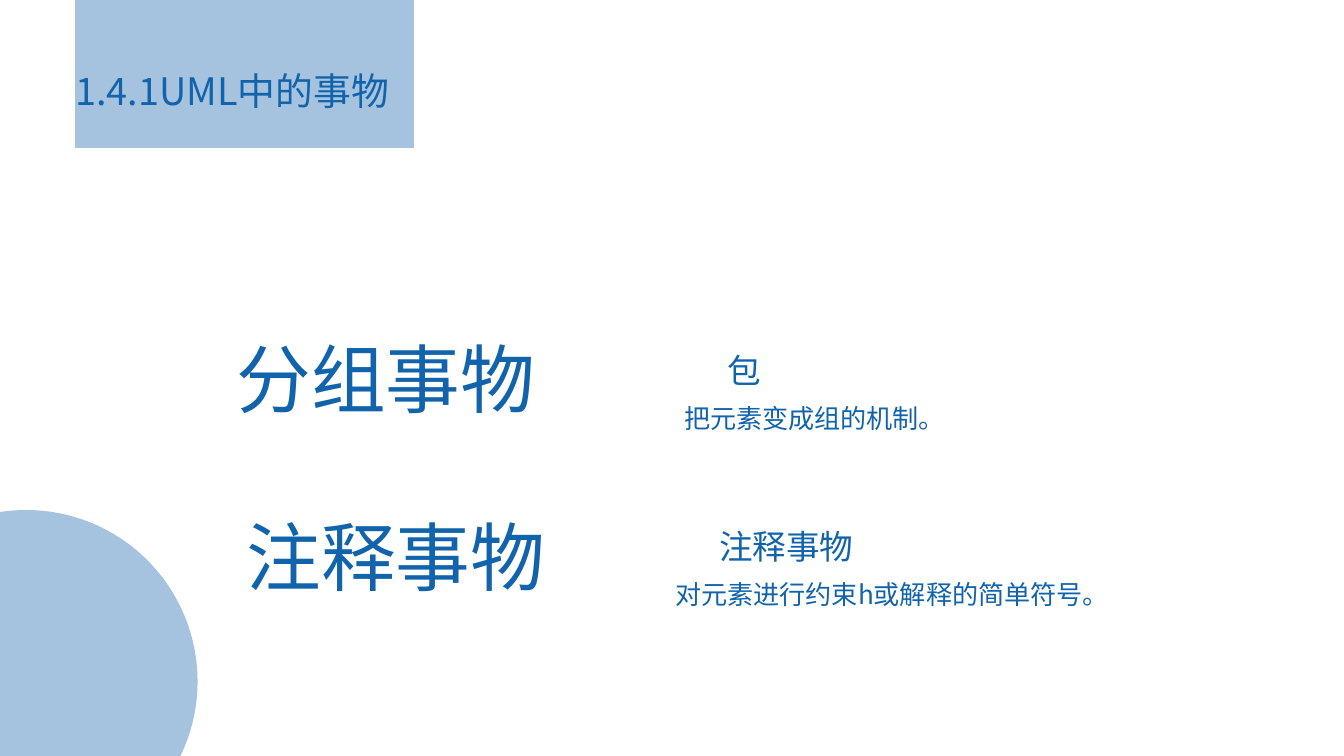
from dataclasses import dataclass
from math import asin, cos, pi, sin

from pptx import Presentation
from pptx.dml.color import RGBColor
from pptx.enum.shapes import MSO_SHAPE as Shape
from pptx.enum.text import MSO_AUTO_SIZE as AutoSize
from pptx.oxml.ns import qn
from pptx.util import Inches, Pt


@dataclass(frozen=True)
class Theme:
    """Colours, typeface and type sizes of the deck."""
    ink: RGBColor = RGBColor(0x11, 0x64, 0xAB)
    accent: RGBColor = RGBColor(0xA5, 0xC2, 0xDE)
    font: str = "Noto Sans CJK SC"
    title: float = 40.5
    category: float = 80
    term: float = 36
    body: float = 28


THEME = Theme()
WIDTH, HEIGHT = 20, 11.25


def paint(shape):
    """Give a decoration its flat accent fill."""
    shape.shadow.inherit = False
    shape.fill.solid()
    shape.fill.fore_color.rgb = THEME.accent
    shape.line.fill.background()


def add_text(page, box, top_inset=0):
    """Place an empty text box and return its frame."""
    frame = page.shapes.add_textbox(*map(Inches, box)).text_frame
    frame.word_wrap = True
    frame.auto_size = AutoSize.SHAPE_TO_FIT_TEXT
    frame.margin_left = frame.margin_right = frame.margin_bottom = 0
    frame.margin_top = Inches(top_inset)
    return frame


def write(para, text, size, before=0, indent=0, spacing=0):
    """Write one paragraph in the theme's face and ink."""
    para.text = text
    para.space_before = Pt(before)
    para._p.get_or_add_pPr().set("marL", str(Inches(indent)))
    for span in para.runs:
        span.font.size = Pt(size)
        span.font.name = THEME.font
        span.font.color.rgb = THEME.ink
        properties = span._r.get_or_add_rPr()
        properties.set("spc", str(spacing))
        east_asian = properties.makeelement(qn("a:ea"), {"typeface": THEME.font})
        properties.find(qn("a:latin")).addnext(east_asian)


def add_header(page, box, title):
    """Draw the top block with the section title across it."""
    left, top, width, height = box
    paint(page.shapes.add_shape(Shape.RECTANGLE, *map(Inches, box)))
    frame = add_text(page, (left, top + 1.01, WIDTH - 2 * left, 0.68))
    write(frame.paragraphs[0], title, THEME.title)


def add_corner_disc(page, center_x, center_y, radius, steps=90):
    """Draw a disc cut off by the left and bottom page edges."""
    start = -pi / 2 - asin(center_x / radius)
    end = asin((HEIGHT - center_y) / radius)
    angles = [start + (end - start) * step / steps for step in range(steps + 1)]
    arc = [(Inches(center_x + radius * cos(angle)), Inches(center_y + radius * sin(angle)))
           for angle in angles]
    builder = page.shapes.build_freeform(0, Inches(HEIGHT))
    builder.add_line_segments(arc, close=True)
    paint(builder.convert_to_shape())


def add_category(page, box, name):
    """Write the large name of a kind of thing."""
    frame = add_text(page, box, 0.01)
    write(frame.paragraphs[0], name, THEME.category, 1, 0.01, -10)


def add_definition(page, box, term, meaning):
    """Write an indented term with its meaning below."""
    frame = add_text(page, box, 0.26)
    write(frame.paragraphs[0], term, THEME.term, 18.4, 0.66, -10)
    para = frame.add_paragraph()
    write(para, meaning, THEME.body, 3.9, 0.01)
    para.line_spacing = 1.29


def main():
    """Build and save the slide."""
    deck = Presentation()
    deck.slide_width, deck.slide_height = Inches(WIDTH), Inches(HEIGHT)
    page = deck.slides.add_slide(deck.slide_layouts[6])
    add_header(page, (1.12, 0, 5.04, 2.2), "1.4.1UML中的事物")
    add_corner_disc(page, 0.39, 10.14, 2.55)
    rows = [
        ("分组事物", 3.51, 4.94, "包", "把元素变成组的机制。", 10.17, 4.94),
        ("注释事物", 3.66, 7.59, "注释事物", "对元素进行约束h或解释的简单符号。", 10.04, 7.56),
    ]
    for name, name_left, name_top, term, meaning, left, top in rows:
        add_category(page, (name_left, name_top, 5.77, 1.36), name)
        add_definition(page, (left, top, 9.62, 1.52), term, meaning)
    deck.save("out.pptx")


if __name__ == "__main__":
    main()
